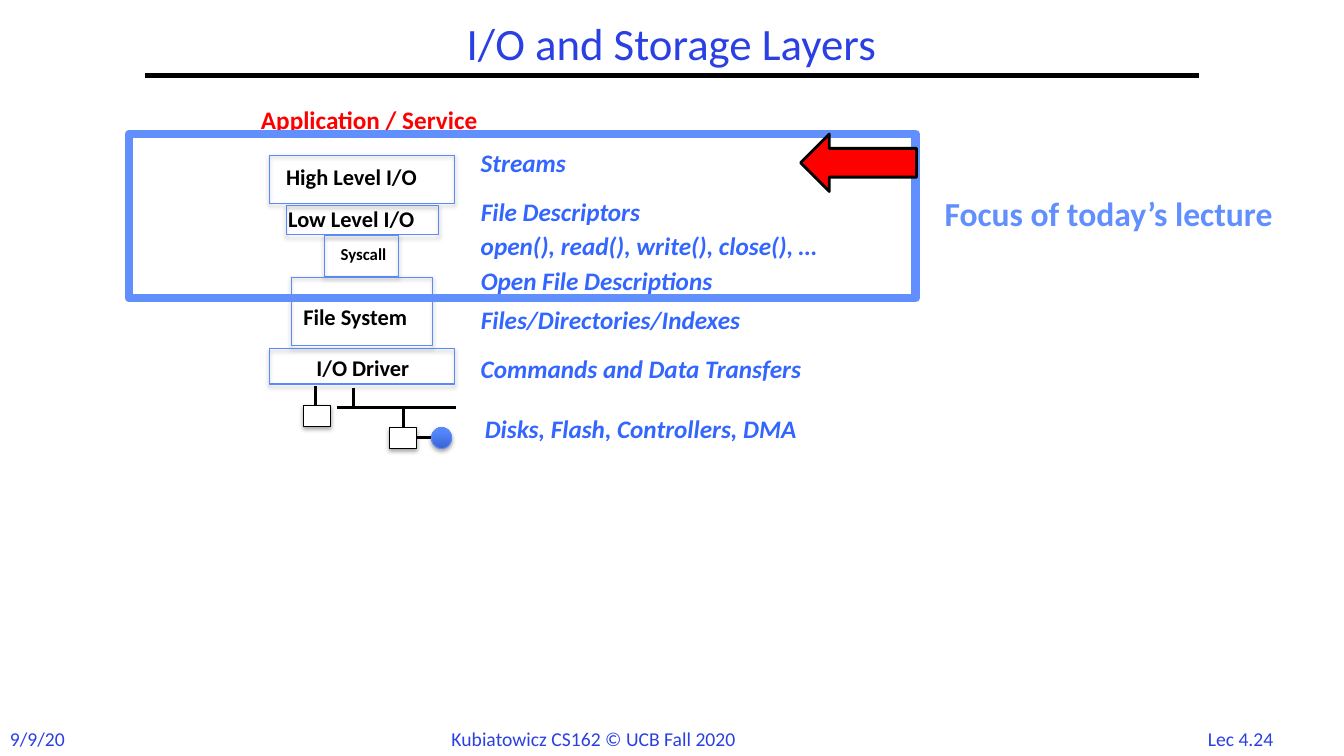
from lxml import etree
from pptx import Presentation
from pptx.dml.color import RGBColor
from pptx.enum.shapes import MSO_CONNECTOR, MSO_SHAPE
from pptx.enum.text import MSO_ANCHOR, PP_ALIGN
from pptx.oxml.ns import qn
from pptx.util import Inches, Pt

RECT, OVAL, ARROW = MSO_SHAPE.RECTANGLE, MSO_SHAPE.OVAL, MSO_SHAPE.RIGHT_ARROW
STRAIGHT = MSO_CONNECTOR.STRAIGHT
LEFT, CENTER = PP_ALIGN.LEFT, PP_ALIGN.CENTER
MIDDLE = MSO_ANCHOR.MIDDLE

BLACK = RGBColor(0, 0, 0)
WHITE = RGBColor(0xFF, 0xFF, 0xFF)
RED = RGBColor(0xFF, 0, 0)
NAVY = RGBColor(0x2A, 0x40, 0xE2)
BLUE = RGBColor(0x33, 0x66, 0xFF)
EDGE = RGBColor(0x5B, 0x8A, 0xFB)
FOCUS = RGBColor(0x61, 0x8F, 0xFD)
DARK = RGBColor(0x37, 0x64, 0xCE)
LIGHT = RGBColor(0x54, 0x87, 0xFF)

# Label, text size, label place, box place
LAYERS = [
    ("High Level I/O", 16, (2.74, 1.57, 1.76, 0.37), (2.67, 1.54, 1.84, 0.48)),
    ("Low Level I/O", 16, (2.76, 1.99, 1.71, 0.37), (2.84, 2.04, 1.51, 0.29)),
    ("Syscall", 12, (3.28, 2.37, 0.78, 0.3), (3.22, 2.34, 0.73, 0.4)),
    ("File System", 16, (2.91, 2.96, 1.45, 0.37), (2.89, 2.75, 1.4, 0.68)),
    ("I/O Driver", 16, (3.04, 3.46, 1.22, 0.37), (2.67, 3.46, 1.84, 0.35)),
]
# Text, left, top, width
NOTES = [
    ("Streams", 4.67, 1.41, 1.2),
    ("File Descriptors", 4.67, 1.9, 2.11),
    ("open(), read(), write(), close(), …", 4.67, 2.24, 4.06),
    ("Open File Descriptions", 4.67, 2.58, 2.95),
    ("Files/Directories/Indexes", 4.67, 2.97, 3.18),
    ("Commands and Data Transfers", 4.67, 3.46, 3.93),
    ("Disks, Flash, Controllers, DMA", 4.71, 4.05, 3.88),
]
# Start x, start y, end x, end y
WIRES = [
    (3.34, 4.04, 4.52, 4.04),
    (3.51, 3.85, 3.51, 4.04),
    (4, 4.04, 4, 4.24),
    (4.13, 4.34, 4.28, 4.34),
    (3.13, 3.83, 3.13, 4.02),
]
FOOTER = [
    ("9/9/20", (0, 7.16, 0.75, 0.34), LEFT),
    ("Kubiatowicz CS162 © UCB Fall 2020", (4.38, 7.16, 3.43, 0.34), LEFT),
    ("Lec 4.24", (11.82, 7.16, 0.97, 0.33), CENTER),
]


def place(nums):
    return [Inches(num) for num in nums]


def write(frame, text, size=18, color=BLACK, bold=False, slant=False, align=LEFT):
    para = frame.paragraphs[0]
    para.alignment = align
    run = para.add_run()
    run.text = text
    font = run.font
    font.name, font.size = "Calibri", Pt(size)
    font.bold, font.italic = bold, slant
    font.color.rgb = color
    return para


def label(slide, text, area, **style):
    frame = slide.shapes.add_textbox(*place(area)).text_frame
    frame.word_wrap = False
    write(frame, text, **style)


def shade(shape):
    """Give a shape a soft shadow straight below it."""
    effects = shape._element.spPr.find(qn("a:effectLst"))
    outer = etree.SubElement(effects, qn("a:outerShdw"), blurRad=str(Pt(3.1)),
                             dist=str(Pt(1.8)), dir="5400000", rotWithShape="0")
    color = etree.SubElement(outer, qn("a:srgbClr"), val=str(BLACK))
    etree.SubElement(color, qn("a:alpha"), val="35000")


def draw(slide, kind, area, fill=None, edge=EDGE, width=0.75, shadow=False):
    shape = slide.shapes.add_shape(kind, *place(area))
    shape.shadow.inherit = False
    if fill is None:
        shape.fill.background()
    else:
        shape.fill.solid()
        shape.fill.fore_color.rgb = fill
    shape.line.color.rgb = edge
    shape.line.width = Pt(width)
    if shadow:
        shade(shape)
    return shape


def wire(slide, ends, width=2):
    line = slide.shapes.add_connector(STRAIGHT, *place(ends))
    line.line.color.rgb = BLACK
    line.line.width = Pt(width)
    etree.SubElement(line._element.spPr, qn("a:effectLst"))


def blend(shape):
    """Fill a shape from dark at the bottom to light at the top."""
    shape.fill.gradient()
    shape.fill.gradient_angle = 90
    for stop, spot, color in zip(shape.fill.gradient_stops, (0, 0.8), (DARK, LIGHT)):
        stop.position = spot
        stop.color.rgb = color


def head(slide):
    title = slide.shapes.title
    title.left, title.top, title.width, title.height = place((1.44, 0.17, 10.44, 0.58))
    title.text_frame.vertical_anchor = MIDDLE
    para = write(title.text_frame, "I/O and Storage Layers", size=32, color=NAVY,
                 align=CENTER)
    para.line_spacing = 0.9
    wire(slide, (1.44, 0.75, 11.89, 0.75), width=3)


def main():
    deck = Presentation()
    deck.slide_width, deck.slide_height = place((13.33, 7.5))
    slide = deck.slides.add_slide(deck.slide_layouts[5])

    # Title and footer
    head(slide)
    for text, area, align in FOOTER:
        label(slide, text, area, size=14, color=NAVY, align=align)

    # Stack of layers
    for text, size, spot, box in LAYERS:
        label(slide, text, spot, size=size, bold=True)
        draw(slide, RECT, box, shadow=True)

    # Devices on the bus
    for ends in WIRES:
        wire(slide, ends)
    for left, top in ((3.86, 4.24), (3.01, 4.02)):
        draw(slide, RECT, (left, top, 0.27, 0.21), fill=WHITE, edge=BLACK, shadow=True)
    blend(draw(slide, OVAL, (4.28, 4.24, 0.2, 0.21), shadow=True))

    # What each layer offers
    label(slide, "Application / Service", (2.49, 0.99, 2.68, 0.4), color=RED, bold=True)
    for text, left, top, width in NOTES:
        label(slide, text, (left, top, width, 0.4), color=BLUE, bold=True, slant=True)

    # Focus frame and arrow
    draw(slide, RECT, (1.28, 1.33, 7.8, 1.63), edge=FOCUS, width=6)
    label(slide, "Focus of today’s lecture", (9.27, 1.86, 4.06, 0.5), size=24,
          color=FOCUS, bold=True)
    arrow = draw(slide, ARROW, (7.94, 1.33, 1.15, 0.57), fill=RED, edge=BLACK, width=2)
    arrow._element.spPr.xfrm.set("flipH", "1")

    deck.save("out.pptx")


if __name__ == "__main__":
    main()
